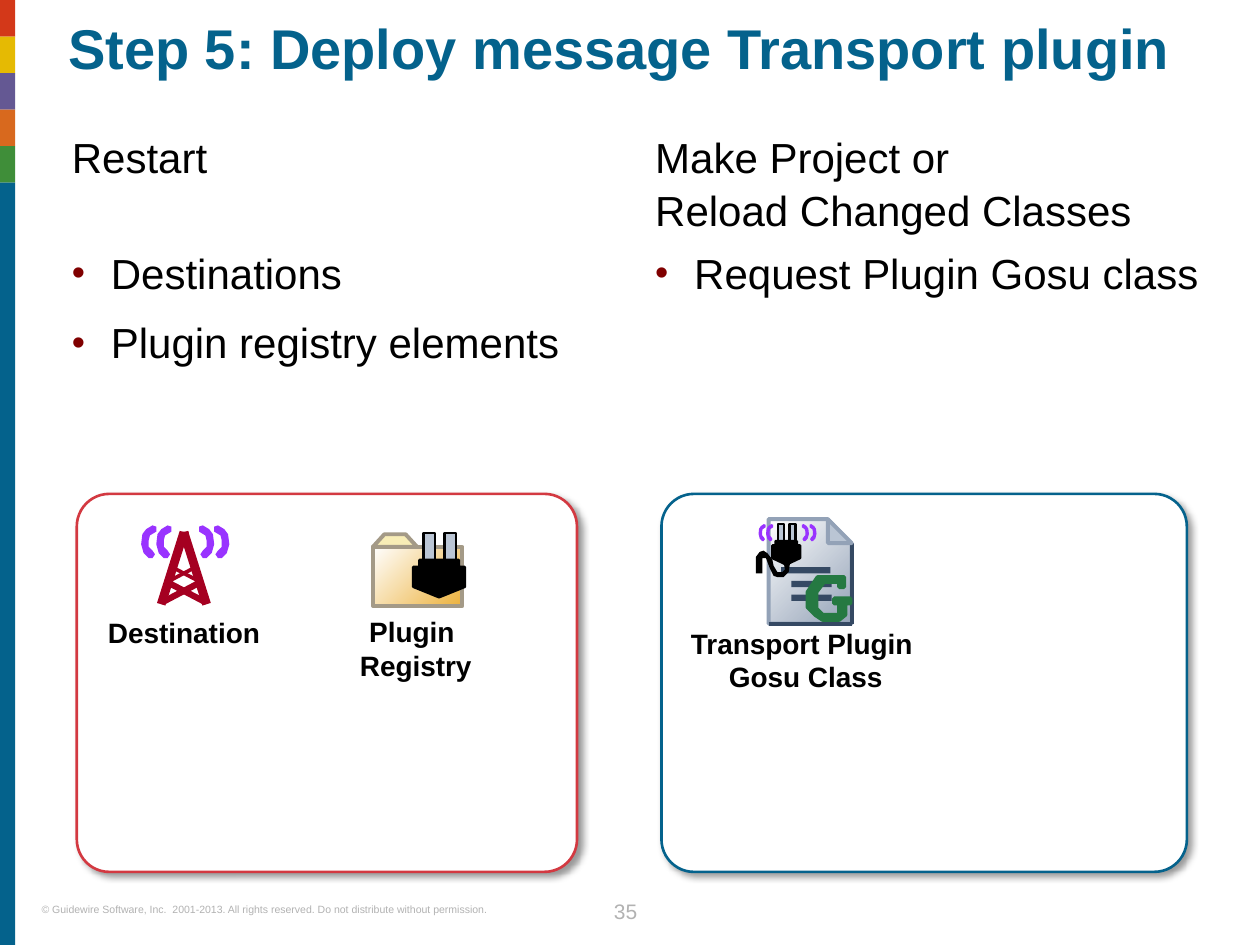
from collections import namedtuple
from dataclasses import dataclass

from lxml import etree
from pptx import Presentation
from pptx import util as u
from pptx.dml import color
from pptx.enum import shapes, text
from pptx.oxml import ns

Box = namedtuple("Box", "x y w h")


@dataclass(frozen=True)
class Theme:
    font: str = "Arial"
    title: float = 32
    body: float = 24
    label: float = 16
    page: float = 12
    legal: float = 6
    blue: str = "04628C"
    red: str = "D33941"
    black: str = "000000"
    white: str = "FFFFFF"
    gray: str = "B2B2B2"
    bullet: str = "800000"
    tower: str = "A50021"
    wave: str = "9933FF"
    tan: str = "A49A87"
    gold: str = "ECB23D"
    cream: str = "F8EDB6"
    steel: str = "BAC5D4"
    slate: str = "93A2B7"
    navy: str = "354963"
    green: str = "257942"
    strip: tuple = ("D33819", "E5BA03", "645893", "D8691E", "3F8E39")


T = Theme()

# Outlines as fractions of their box
ARC = [(x / 13, y / 27) for x, y in (
    (1, 5), (1, 1), (4, 0), (9, 3), (12, 7), (13, 15), (11, 22),
    (7, 26), (4, 26), (2, 23), (4, 20), (7, 17), (7, 12), (6, 8))]
PLUG = [(.12, 0), (.88, 0), (.88, .19), (1, .19), (1, .72), (.5, 1),
        (0, .72), (0, .19), (.12, .19)]
CORD = [(x / 27, y / 21) for x, y in (
    (22, 9), (23, 15), (21, 17), (17, 17), (14, 12), (13, 7), (9, 2), (6, 0),
    (3, 1), (0, 5), (0, 18), (5, 18), (5, 6), (8, 6), (11, 14), (14, 20),
    (17, 21), (22, 21), (26, 17), (27, 10), (26, 9))]
GEE = [(x / 34, y / 34) for x, y in (
    (29, 8), (29, 0), (8, 0), (0, 12), (0, 24), (6, 30), (12, 34), (25, 34),
    (30, 30), (30, 21), (34, 21), (34, 17), (21, 17), (21, 21), (25, 21),
    (25, 30), (12, 30), (7, 25), (7, 12), (13, 4), (25, 4), (25, 8))]


def rgb(code):
    return color.RGBColor.from_string(code)


def sub(box, x, y, w, h):
    """Box offset in inches from the corner of another box."""
    return Box(box.x + x, box.y + y, w, h)


def place(shape, box):
    shape.left, shape.top, shape.width, shape.height = map(u.Inches, box)


def paint(shape, fill, line=None, width=1.5):
    shape.shadow.inherit = False
    if isinstance(fill, tuple):
        shape.fill.gradient()
        shape.fill.gradient_angle = 315
        for stop, code in zip(shape.fill.gradient_stops, fill):
            stop.color.rgb = rgb(code)
    else:
        shape.fill.solid()
        shape.fill.fore_color.rgb = rgb(fill)
    if line:
        shape.line.color.rgb = rgb(line)
        shape.line.width = u.Pt(width)
    else:
        shape.line.fill.background()


def block(slide, box, fill, line=None, width=1.5, turn=0, kind="RECTANGLE"):
    shape = slide.shapes.add_shape(
        shapes.MSO_SHAPE[kind], *map(u.Inches, box))
    paint(shape, fill, line, width)
    shape.rotation = turn
    return shape


def trace(slide, box, dots, fill, line=None, width=1.5):
    spots = [(u.Inches(box.x + x * box.w), u.Inches(box.y + y * box.h))
             for x, y in dots]
    pen = slide.shapes.build_freeform(*spots[0], scale=1.0)
    pen.add_line_segments(spots[1:], close=True)
    paint(pen.convert_to_shape(), fill, line, width)


def edge(slide, *ends):
    line = slide.shapes.add_connector(
        shapes.MSO_CONNECTOR.STRAIGHT, *map(u.Inches, ends))
    line.line.color.rgb = rgb(T.navy)
    line.line.width = u.Pt(2.25)
    etree.SubElement(line._element.spPr, ns.qn("a:effectLst"))


def write(shape, lines, size, ink, bold=False, align="LEFT", pad=0, wrap=True):
    frame = shape.text_frame
    frame.auto_size = text.MSO_AUTO_SIZE.NONE
    frame.word_wrap = wrap
    frame.vertical_anchor = text.MSO_ANCHOR.TOP
    frame.margin_left = frame.margin_right = frame.margin_bottom = 0
    frame.margin_top = u.Inches(pad)
    for i, words in enumerate(lines):
        para = frame.add_paragraph() if i else frame.paragraphs[0]
        para.text = words
        para.alignment = text.PP_ALIGN[align]
        para.space_before = u.Pt(9.6 if i else 0)
        for run in para.runs:
            run.font.name, run.font.size = T.font, u.Pt(size)
            run.font.bold, run.font.color.rgb = bold, rgb(ink)
    return frame.paragraphs


def note(slide, box, words, size, ink, **look):
    shape = slide.shapes.add_textbox(*map(u.Inches, box))
    return write(shape, [words], size, ink, **look)


def label(slide, box, words):
    note(slide, box, words, T.label, T.black, bold=True, align="CENTER",
         pad=.05, wrap=False)


def dot(para):
    props = para._p.get_or_add_pPr()
    props.set("marL", str(u.Inches(.31)))
    props.set("indent", str(-u.Inches(.31)))
    tint = etree.SubElement(props, ns.qn("a:buClr"))
    etree.SubElement(tint, ns.qn("a:srgbClr"), val=T.bullet)
    etree.SubElement(props, ns.qn("a:buSzPct"), val="90000")
    etree.SubElement(props, ns.qn("a:buFont"), typeface=T.font)
    etree.SubElement(props, ns.qn("a:buChar"), char="•")


def column(head, body, box, words, items):
    """Heading with a bulleted list below it."""
    place(head, box._replace(h=.92))
    place(body, sub(box, 0, .92, box.w, box.h - .92))
    for para in write(head, [words], T.body, T.black, pad=.03):
        para.line_spacing = 1.04
    for para in write(body, items, T.body, T.black, pad=.03):
        dot(para)
        para.line_spacing = 1.04


def card(slide, box, line):
    shape = block(slide, box, T.white, line, kind="ROUNDED_RECTANGLE")
    shape.adjustments[0] = .086
    glow = shape._element.spPr.find(ns.qn("a:effectLst"))
    cast = etree.SubElement(
        glow, ns.qn("a:outerShdw"), blurRad=str(u.Pt(4)), dist=str(u.Pt(3)),
        dir="2700000", algn="tl", rotWithShape="0")
    tint = etree.SubElement(cast, ns.qn("a:srgbClr"), val=T.black)
    etree.SubElement(tint, ns.qn("a:alpha"), val="40000")


def waves(slide, box, arc, gap):
    """Two arcs on each side of the box, mirrored."""
    for step in (0, gap):
        trace(slide, sub(box, box.w - arc - step, 0, arc, box.h), ARC, T.wave)
        trace(slide, sub(box, step, 0, arc, box.h),
              [(1 - x, y) for x, y in ARC], T.wave)


def plug(slide, box):
    for x in (.2, .61):
        block(slide, sub(box, x * box.w, 0, .22 * box.w, .42 * box.h),
              T.steel, T.black)
    trace(slide, sub(box, 0, .42 * box.h, box.w, .58 * box.h),
          PLUG, T.black, T.black)


def tower(slide, box):
    mid = box.w / 2
    for y, w, h, lean, shift in ((.04, .07, .6, 17.5, -.09),
                                 (.36, .05, .33, 62.3, -.01),
                                 (.27, .03, .22, 62.3, 0)):
        for side in (1, -1):
            block(slide, sub(box, mid - .01 + side * shift - w / 2, y, w, h),
                  T.tower, turn=side * lean % 360)
    trace(slide, sub(box, mid - .04, .05, .07, .07),
          [(0, 0), (.3, 1), (.7, 1), (1, 0)], T.tower)
    waves(slide, box._replace(h=.27), .13, .12)


def folder(slide, box):
    block(slide, sub(box, 0, .11, .71, .47), (T.white, T.gold), T.tan, 2.25)
    trace(slide, sub(box, 0, .01, .35, .1),
          [(0, 1), (.26, 0), (.74, 0), (1, 1)], T.cream, T.tan, 2.25)
    plug(slide, sub(box, .32, 0, .41, .51))


def script(slide, box):
    """Page with a plug, its cord and a letter."""
    page = sub(box, .08, 0, .66, .83)
    trace(slide, page, [(0, 1), (0, 0), (.71, 0), (1, .24), (1, 1)],
          (T.white, T.slate), T.slate, 2.25)
    right, base = page.x + page.w, page.y + page.h
    edge(slide, page.x, base, right, base)
    edge(slide, right, base, right, page.y + .19)
    trace(slide, sub(page, .47, 0, .19, .19), [(0, 0), (0, 1), (1, 1)],
          T.steel, T.slate, 2.25)
    for x, y, w in ((.18, .38, .39), (.26, .49, .32), (.26, .6, .32)):
        block(slide, sub(box, x, y, w, .05), T.navy)
    trace(slide, sub(box, -.02, .25, .27, .21), CORD, T.black)
    plug(slide, sub(box, .11, .04, .22, .32))
    waves(slide, sub(box, 0, .04, .46, .14), .06, .06)
    trace(slide, sub(box, .39, .46, .34, .34), GEE, T.green, T.green, 2.25)


def frame(slide, box):
    """Side strip, legal line and page number."""
    for i, tint in enumerate(T.strip):
        block(slide, sub(box, 0, i * .29, .12, .29), tint)
    block(slide, sub(box, 0, 1.45, .12, box.h - 1.45), T.blue)
    note(slide, sub(box, .33, 7.17, 4.02, .1),
         "© Guidewire Software, Inc.  2001-2013. All rights reserved. "
         "Do not distribute without permission.", T.legal, T.gray)
    page = note(slide, sub(box, 4.68, 7.08, .57, .25), "35", T.page, T.gray,
                align="CENTER")
    page[0].line_spacing = u.Pt(18)


def main():
    deck = Presentation()
    deck.slide_width, deck.slide_height = u.Inches(10), u.Inches(7.5)
    slide = deck.slides.add_slide(deck.slide_layouts.get_by_name("Comparison"))
    title, *parts = slide.placeholders
    frame(slide, Box(0, 0, 10, 7.5))

    # Title and two text columns
    place(title, Box(.54, .13, 9.1, .81))
    para = write(title, ["Step 5: Deploy message Transport plugin"],
                 T.title, T.blue, bold=True, pad=.04)[0]
    para.line_spacing = .9
    column(*parts[:2], Box(.57, 1, 4.47, 5.99), "Restart",
           ["Destinations", "Plugin registry elements"])
    column(*parts[2:4], Box(5.2, 1, 4.47, 5.99),
           "Make Project or\nReload Changed Classes",
           ["Request Plugin Gosu class"])

    # Cards with labelled icons
    card(slide, Box(.61, 3.92, 3.97, 3), T.red)
    card(slide, Box(5.25, 3.92, 4.17, 3), T.blue)
    tower(slide, Box(1.12, 4.17, .7, .7))
    folder(slide, Box(2.96, 4.23, .73, .58))
    script(slide, Box(6.02, 4.12, .74, .83))
    label(slide, Box(.75, 4.84, 1.42, .37), "Destination")
    label(slide, Box(2.75, 4.83, 1.1, .64), "Plugin \nRegistry")
    label(slide, Box(5.37, 4.92, 2.05, .64), "Transport Plugin \nGosu Class")
    deck.save("out.pptx")


if __name__ == "__main__":
    main()
